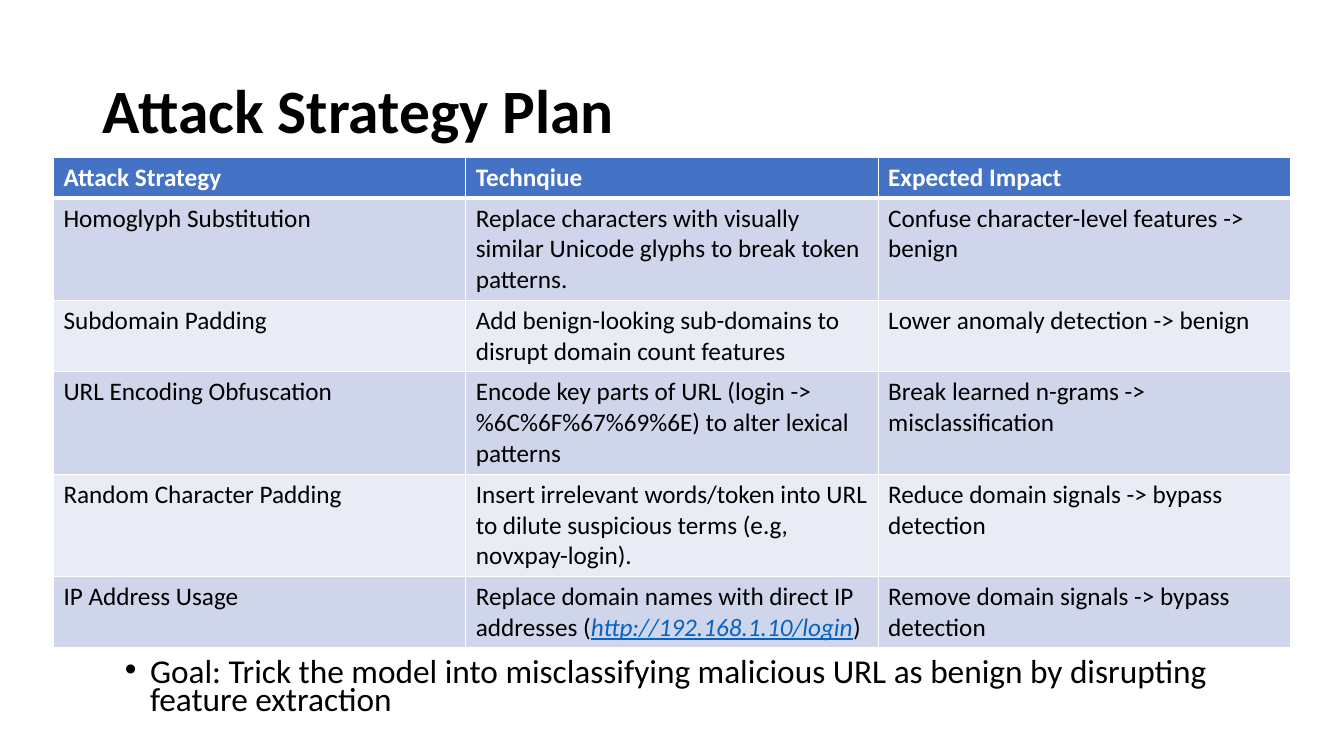
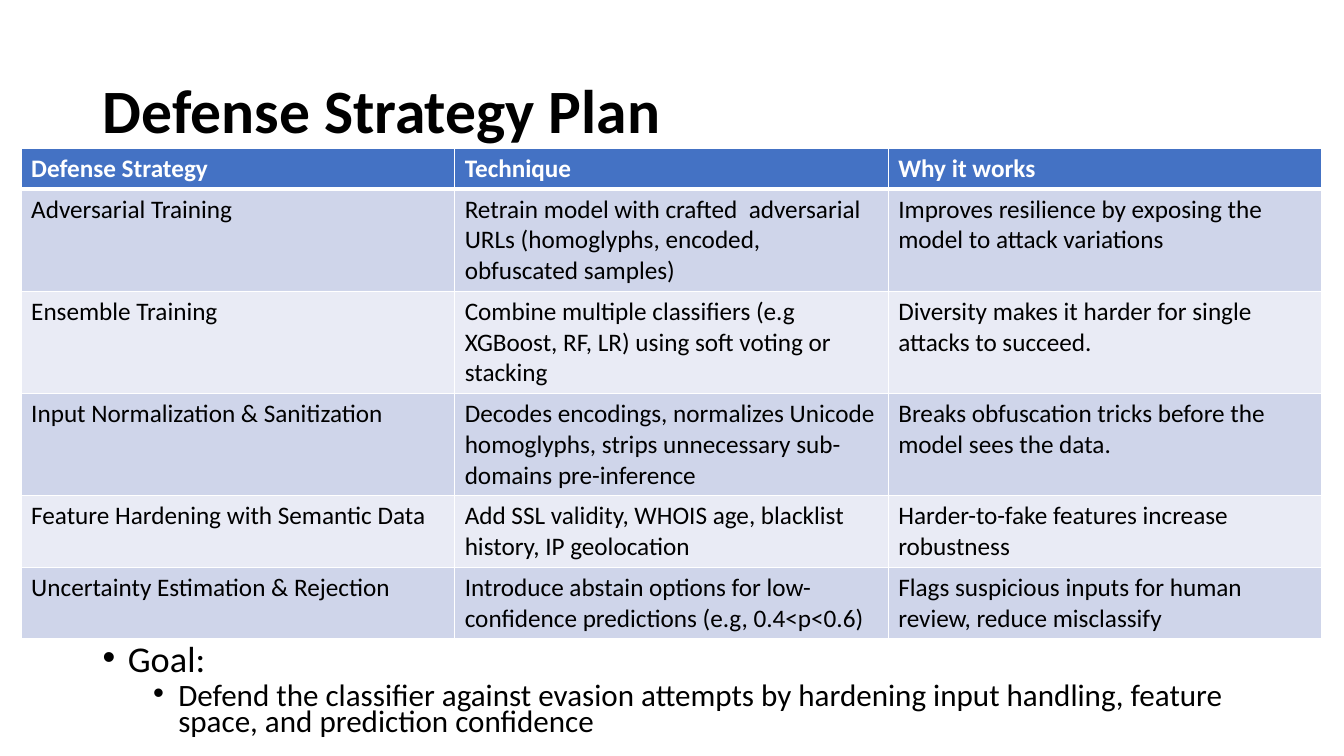
from lxml.etree import SubElement
from pptx import Presentation
from pptx.dml.color import RGBColor
from pptx.enum.text import MSO_ANCHOR, PP_ALIGN
from pptx.oxml.ns import qn
from pptx.util import Inches, Pt

# Shared style
FONT = "Calibri"
BLACK, WHITE, LINK = "000000", "FFFFFF", "0563C1"
HEADER_FILL, BAND_FILLS = "4472C4", ("CFD5EA", "E9EBF5")
TITLE_FORMAT = {"size": Pt(44), "bold": True}
HEADER_FORMAT = {"size": Pt(18), "bold": True}
CELL_FORMAT = {"size": Pt(18), "bold": False}
LINK_FORMAT = CELL_FORMAT | {"italic": True, "underline": True}
LINE_HEIGHT, CELL_PADDING = 0.305, 0.1
THIN, THICK = 1, 3

# Slide content: each row is (lines of text, cells); a cell may be a list of spans
ATTACK_HEADER = ("Attack Strategy", "Technqiue", "Expected Impact")
ATTACK_ROWS = [
    (3, ("Homoglyph Substitution",
         "Replace characters with visually similar Unicode glyphs to break token patterns.",
         "Confuse character-level features -> benign")),
    (2, ("Subdomain Padding",
         "Add benign-looking sub-domains to disrupt domain count features",
         "Lower anomaly detection -> benign")),
    (3, ("URL Encoding Obfuscation",
         "Encode key parts of URL (login -> %6C%6F%67%69%6E) to alter lexical patterns",
         "Break learned n-grams -> misclassification")),
    (3, ("Random Character Padding",
         "Insert irrelevant words/token into URL to dilute suspicious terms (e.g, novxpay-login).",
         "Reduce domain signals -> bypass detection")),
    (2, ("IP Address Usage",
         [("Replace domain names with direct IP addresses (", CELL_FORMAT, BLACK),
          ("http://192.168.1.10/login", LINK_FORMAT, LINK),
          (")", CELL_FORMAT, BLACK)],
         "Remove domain signals -> bypass detection")),
]
DEFENSE_HEADER = ("Defense Strategy", "Technique", "Why it works")
DEFENSE_ROWS = [
    (3, ("Adversarial Training",
         "Retrain model with crafted  adversarial URLs (homoglyphs, encoded, obfuscated samples)",
         "Improves resilience by exposing the model to attack variations")),
    (3, ("Ensemble Training",
         "Combine multiple classifiers (e.g XGBoost, RF, LR) using soft voting or stacking",
         "Diversity makes it harder for single attacks to succeed.")),
    (3, ("Input Normalization & Sanitization",
         "Decodes encodings, normalizes Unicode homoglyphs, strips unnecessary sub-domains pre-inference",
         "Breaks obfuscation tricks before the model sees the data.")),
    (2, ("Feature Hardening with Semantic Data",
         "Add SSL validity, WHOIS age, blacklist history, IP geolocation",
         "Harder-to-fake features increase robustness")),
    (2, ("Uncertainty Estimation & Rejection",
         "Introduce abstain options for low-confidence predictions (e.g, 0.4<p<0.6)",
         "Flags suspicious inputs for human review, reduce misclassify")),
]
# Goal paragraphs: (level, size, text)
ATTACK_GOAL = [
    (0, 23.8, "Goal: Trick the model into misclassifying malicious URL as benign "
              "by disrupting feature extraction"),
]
DEFENSE_GOAL = [
    (0, 25.9, "Goal:"),
    (1, 22.2, "Defend the classifier against evasion attempts by hardening input "
              "handling, feature space, and prediction confidence"),
]


def color(hex_value):
    return RGBColor.from_string(hex_value)


def add_span(para, text, font_format, hex_value=BLACK):
    span = para.add_run()
    span.text = text
    span.font.name = FONT
    span.font.color.rgb = color(hex_value)
    for name, value in font_format.items():
        setattr(span.font, name, value)


def add_page(deck, title):
    page = deck.slides.add_slide(deck.slide_layouts[5])
    box = page.shapes.title
    box.left, box.top = Inches(0.92), Inches(0.4)
    box.width, box.height = Inches(11.5), Inches(1.45)
    box.text_frame.vertical_anchor = MSO_ANCHOR.MIDDLE
    box.text_frame.word_wrap = True
    para = box.text_frame.paragraphs[0]
    para.alignment, para.line_spacing = PP_ALIGN.LEFT, 0.9
    add_span(para, title, TITLE_FORMAT)
    return page


def set_borders(cell, top, bottom):
    properties = cell._tc.get_or_add_tcPr()
    widths = {"a:lnL": THIN, "a:lnR": THIN, "a:lnT": top, "a:lnB": bottom}
    for position, (tag, width) in enumerate(widths.items()):
        line = SubElement(properties, qn(tag), w=str(Pt(width)))
        fill = SubElement(line, qn("a:solidFill"))
        SubElement(fill, qn("a:srgbClr"), val=WHITE)
        properties.insert(position, line)  # borders come before the fill


def fill_cell(cell, content, font_format, text_color, fill):
    cell.fill.solid()
    cell.fill.fore_color.rgb = color(fill)
    spans = [(content, font_format, text_color)] if isinstance(content, str) else content
    for span in spans:
        add_span(cell.text_frame.paragraphs[0], *span)


def add_strategy_table(page, left, top, column_width, header, body_rows):
    rows = [(1, header)] + body_rows
    heights = [Inches(lines * LINE_HEIGHT + CELL_PADDING) for lines, _ in rows]
    table = page.shapes.add_table(
        len(rows), len(header), Inches(left), Inches(top),
        Inches(column_width * len(header)), sum(heights)).table
    for column in table.columns:
        column.width = Inches(column_width)
    for row_index, (_, contents) in enumerate(rows):
        table.rows[row_index].height = heights[row_index]
        if row_index == 0:
            style = (HEADER_FORMAT, WHITE, HEADER_FILL)
        else:
            style = (CELL_FORMAT, BLACK, BAND_FILLS[(row_index - 1) % 2])
        for column_index, content in enumerate(contents):
            cell = table.cell(row_index, column_index)
            fill_cell(cell, content, *style)
            set_borders(cell, top=THICK if row_index == 1 else THIN,
                        bottom=THICK if row_index == 0 else THIN)


def add_bullet(para, level):
    properties = para._p.get_or_add_pPr()
    properties.set("marL", str(Inches(0.25 + 0.5 * level)))
    properties.set("indent", str(Inches(-0.25)))
    SubElement(properties, qn("a:buFont"), typeface="Arial")
    SubElement(properties, qn("a:buChar"), char="•")


def add_goal(page, left, top, height, paragraphs):
    box = page.shapes.add_textbox(Inches(left), Inches(top), Inches(11.5), Inches(height))
    frame = box.text_frame
    frame.word_wrap = True
    for index, (level, size, text) in enumerate(paragraphs):
        para = frame.add_paragraph() if index else frame.paragraphs[0]
        para.level, para.line_spacing = level, 0.7
        para.space_before = Pt(5 if level else 10)
        add_bullet(para, level)
        add_span(para, text, {"size": Pt(size)})


def main():
    deck = Presentation()
    deck.slide_width, deck.slide_height = Inches(13.33), Inches(7.5)

    # Attack plan
    page = add_page(deck, "Attack Strategy Plan")
    add_goal(page, 1.14, 6.51, 0.71, ATTACK_GOAL)
    add_strategy_table(page, 0.53, 1.56, 4.09, ATTACK_HEADER, ATTACK_ROWS)

    # Defense plan
    page = add_page(deck, "Defense Strategy Plan")
    add_goal(page, 0.92, 6.38, 1.03, DEFENSE_GOAL)
    add_strategy_table(page, 0.21, 1.47, 4.3, DEFENSE_HEADER, DEFENSE_ROWS)

    deck.save("out.pptx")


if __name__ == "__main__":
    main()
